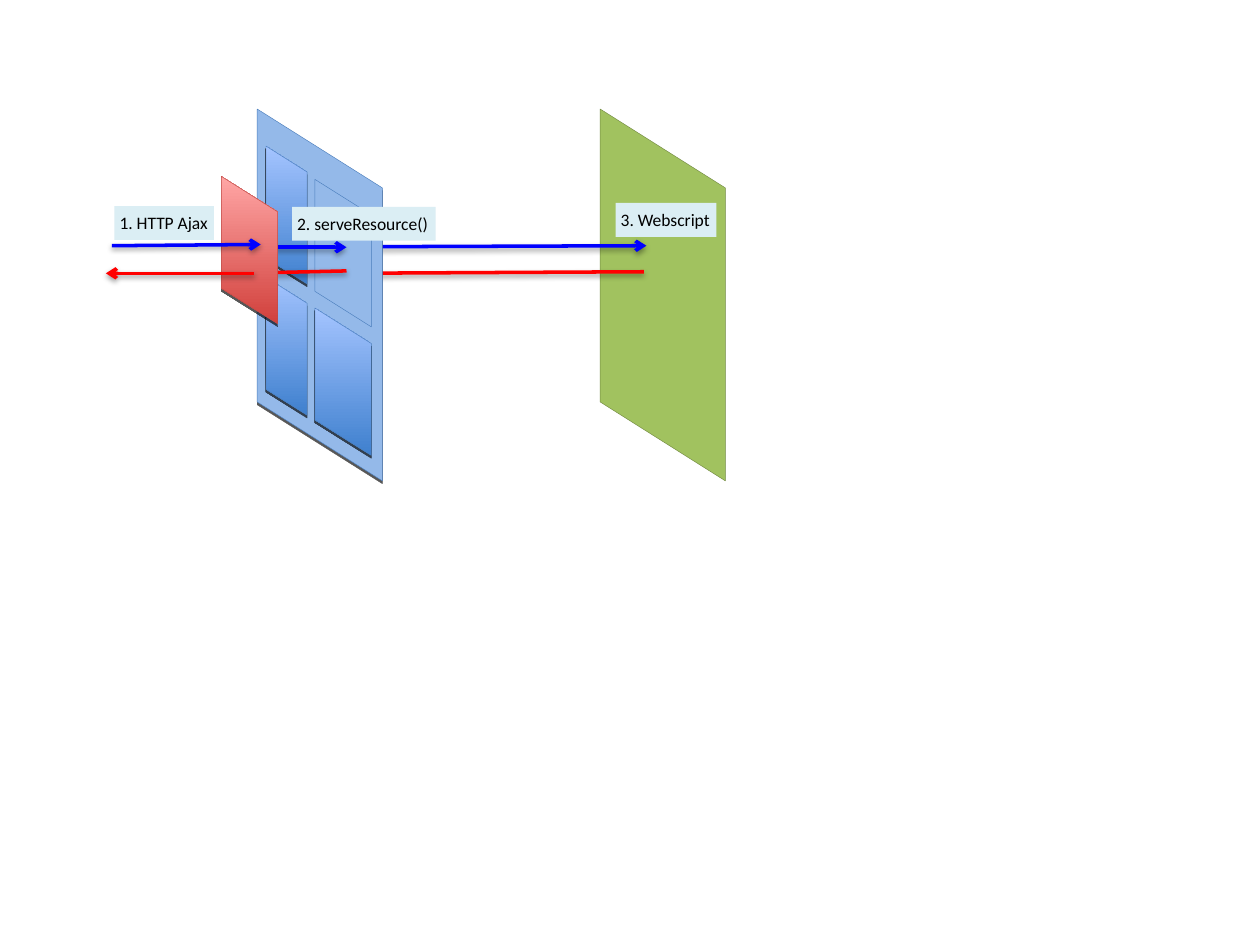
import pptx
import pptx.dml.color
import pptx.enum.shapes
import pptx.enum.text
import pptx.oxml
import pptx.oxml.ns
import pptx.util

Pt = pptx.util.Pt
RGBColor = pptx.dml.color.RGBColor

GREEN = RGBColor(0xA1, 0xC2, 0x5F)
GREEN_EDGE = RGBColor(0x73, 0x8A, 0x42)
PANEL_BLUE = RGBColor(0x94, 0xB9, 0xE9)
BLUE_EDGE = RGBColor(0x4B, 0x7E, 0xBC)
TILE_BLUE = (RGBColor(0x3F, 0x80, 0xCE), RGBColor(0xA4, 0xC4, 0xFF))
TILE_RED = (RGBColor(0xD1, 0x40, 0x3C), RGBColor(0xFF, 0xA6, 0xA5))
RED_EDGE = RGBColor(0xBF, 0x4C, 0x48)
REQUEST_BLUE = RGBColor(0x00, 0x00, 0xFF)
RESPONSE_RED = RGBColor(0xFF, 0x00, 0x00)
LABEL_FILL = RGBColor(0xDB, 0xEE, 0xF4)
BLACK = RGBColor(0x00, 0x00, 0x00)

SLOPE = 0.63  # drop of the slanted edges per point of width
PANEL_TOP, PANEL_WIDTH, PANEL_HEIGHT = 62.3, 71.5, 167.4
TILE_HEIGHT, NARROW_TILE, WIDE_TILE = 64, 23.5, 32.2


def add_shadow(shape, blur, distance, opacity):
    namespace = pptx.oxml.ns.nsdecls("a")
    shape._element.spPr.append(pptx.oxml.parse_xml(
        f'<a:effectLst {namespace}><a:outerShdw blurRad="{Pt(blur)}" '
        f'dist="{Pt(distance)}" dir="5400000" rotWithShape="0">'
        f'<a:srgbClr val="000000"><a:alpha val="{opacity * 1000}"/></a:srgbClr>'
        '</a:outerShdw></a:effectLst>'))


def add_slanted_panel(slide, left, top, width, height, fill, edge, shadow=True):
    """Fill is a colour, a (bottom, top) pair of colours, or None."""
    right, drop = left + width, width * SLOPE
    builder = slide.shapes.build_freeform(Pt(left), Pt(top))
    builder.add_line_segments([
        (Pt(right), Pt(top + drop)),
        (Pt(right), Pt(top + drop + height)),
        (Pt(left), Pt(top + height))])
    panel = builder.convert_to_shape()
    if fill is None:
        panel.fill.background()
    elif isinstance(fill, RGBColor):
        panel.fill.solid()
        panel.fill.fore_color.rgb = fill
    else:
        panel.fill.gradient()
        panel.fill.gradient_angle = 90
        for stop, color, position in zip(panel.fill.gradient_stops, fill, (0, 1)):
            stop.color.rgb = color
            stop.position = position
    panel.line.color.rgb = edge
    panel.line.width = Pt(0.25)
    if shadow:
        add_shadow(panel, 0, 1.6, 65)
    else:
        panel.shadow.inherit = False


def add_arrow(slide, start, end, color, arrow_end):
    """arrow_end is headEnd (at the start) or tailEnd (at the end)."""
    arrow = slide.shapes.add_connector(
        pptx.enum.shapes.MSO_CONNECTOR.STRAIGHT,
        *(Pt(value) for value in (*start, *end)))
    arrow.line.color.rgb = color
    arrow.line.width = Pt(2)
    namespace = pptx.oxml.ns.nsdecls("a")
    arrow.line._get_or_add_ln().append(
        pptx.oxml.parse_xml(f'<a:{arrow_end} {namespace} type="arrow"/>'))
    add_shadow(arrow, 3.1, 1.6, 38)


def add_request(slide, start, end):
    add_arrow(slide, start, end, REQUEST_BLUE, "tailEnd")


def add_response(slide, start, end):
    add_arrow(slide, start, end, RESPONSE_RED, "headEnd")


def add_label(slide, text, left, top, width):
    label = slide.shapes.add_textbox(Pt(left), Pt(top), Pt(width), Pt(19.4))
    label.fill.solid()
    label.fill.fore_color.rgb = LABEL_FILL
    frame = label.text_frame
    frame.word_wrap = False
    frame.auto_size = pptx.enum.text.MSO_AUTO_SIZE.SHAPE_TO_FIT_TEXT
    frame.margin_left = frame.margin_right = Pt(2.88)
    frame.margin_top = frame.margin_bottom = Pt(3.6)
    frame.text = text
    font = frame.paragraphs[0].runs[0].font
    font.name = "Calibri"
    font.size = Pt(10)
    font.color.rgb = BLACK


def main():
    presentation = pptx.Presentation()
    presentation.slide_width, presentation.slide_height = Pt(720), Pt(540)
    slide = presentation.slides.add_slide(presentation.slide_layouts[6])

    # Webscript panel and the calls that reach it
    add_slanted_panel(slide, 343, PANEL_TOP, PANEL_WIDTH, PANEL_HEIGHT,
                      GREEN, GREEN_EDGE, shadow=False)
    add_response(slide, (190.8, 156.2), (367.9, 155.3))
    add_request(slide, (180.7, 141.1), (369.4, 140.4))

    # Portal page with its portlets
    add_slanted_panel(slide, 147, PANEL_TOP, PANEL_WIDTH, PANEL_HEIGHT,
                      PANEL_BLUE, BLUE_EDGE)
    for left, top, width in ((152, 83.5, NARROW_TILE),
                             (152, 158.5, NARROW_TILE),
                             (180, 176, WIDE_TILE)):
        add_slanted_panel(slide, left, top, width, TILE_HEIGHT, TILE_BLUE, BLUE_EDGE)
    # Empty place of the portlet in front
    add_slanted_panel(slide, 180, 102.5, WIDE_TILE, TILE_HEIGHT,
                      None, BLUE_EDGE, shadow=False)

    # Labels and the calls inside the page
    add_label(slide, "1. HTTP Ajax", 65.4, 117.8, 56.9)
    add_label(slide, "2. serveResource()", 166.9, 118.2, 82)
    add_request(slide, (157.7, 141.3), (198, 141.3))
    add_label(slide, "3. Webscript", 351.8, 116, 57.6)
    add_response(slide, (145.4, 156), (198, 154.8))

    # Portlet in front and the calls of the browser
    add_slanted_panel(slide, 126.5, 100.8, WIDE_TILE, TILE_HEIGHT, TILE_RED, RED_EDGE)
    add_request(slide, (64, 140.4), (149, 139.7))
    add_response(slide, (60.5, 156.2), (145.4, 156.2))

    presentation.save("out.pptx")


if __name__ == "__main__":
    main()
